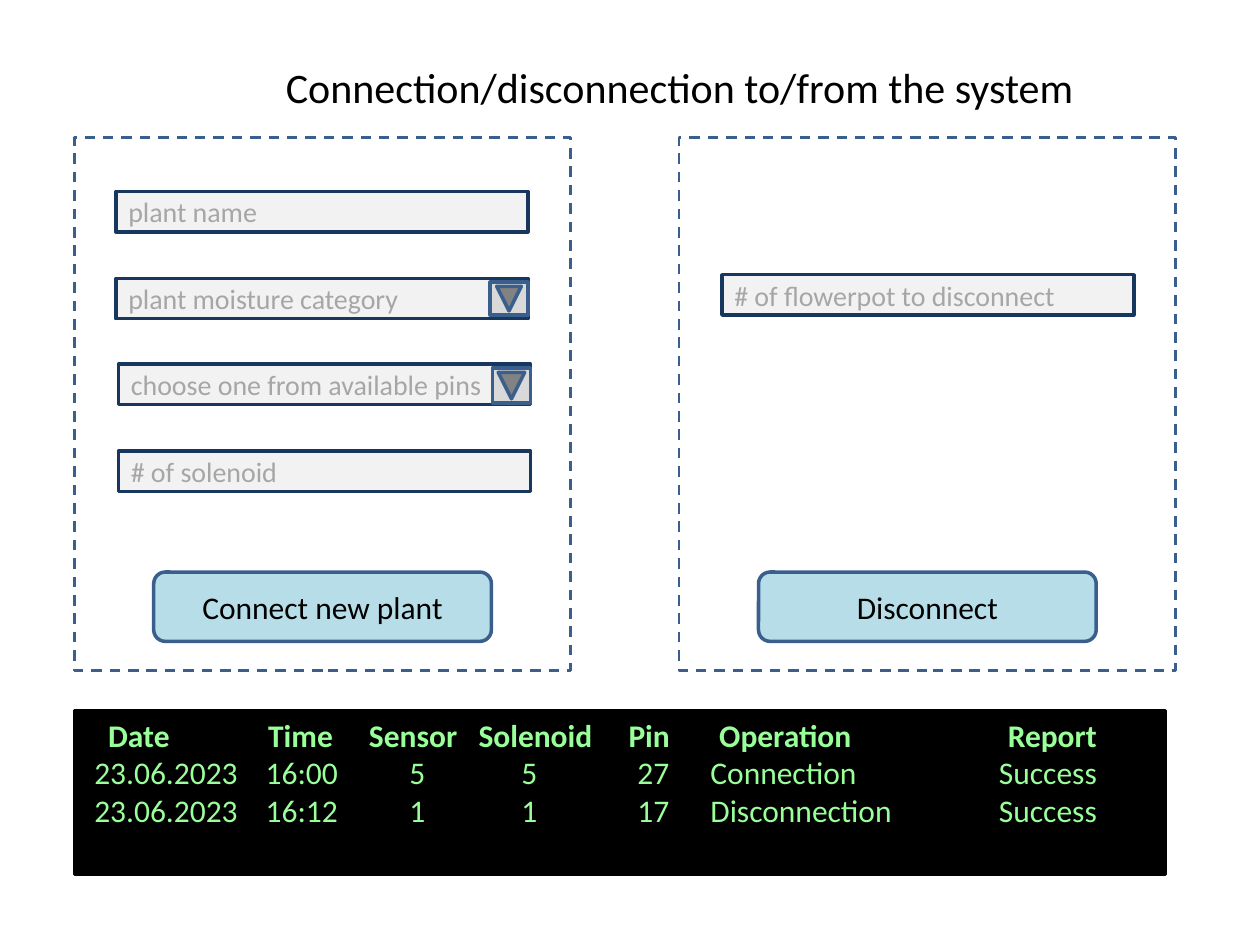
"""Build the plant connection form slide with its operation log."""
from dataclasses import dataclass
from typing import Optional

from lxml import etree
from pptx import Presentation
from pptx.dml.color import RGBColor
from pptx.enum import dml, shapes, text
from pptx.oxml import ns
from pptx.util import Inches, Pt

BLACK = RGBColor(0, 0, 0)
BLUE = RGBColor(0x3A, 0x5F, 0x8C)
NAVY = RGBColor(0x17, 0x37, 0x5E)
PALE = RGBColor(0xB7, 0xDE, 0xE8)
LIGHT = RGBColor(0xF2, 0xF2, 0xF2)
SILVER = RGBColor(0xD9, 0xD9, 0xD9)
GREY = RGBColor(0xA6, 0xA6, 0xA6)
GREEN = RGBColor(0x99, 0xFF, 0x99)
KIND = shapes.MSO_SHAPE
LEFT, CENTER = text.PP_ALIGN.LEFT, text.PP_ALIGN.CENTER


@dataclass
class Box:
    left: float
    top: float
    width: float
    height: float
    fill: Optional[RGBColor]
    line: RGBColor = BLUE
    kind: KIND = KIND.RECTANGLE
    weight: float = 2
    dash: bool = False
    turn: float = 0
    words: str = ""
    size: float = 16
    ink: RGBColor = GREY
    align: text.PP_ALIGN = LEFT


@dataclass
class Row:
    cells: list[str]
    stops: list[float]
    bold: bool = False


def add_run(para, words: str, size: float, ink: RGBColor, bold: bool = False) -> None:
    run = para.add_run()
    run.text = words
    font = run.font
    font.name, font.size, font.bold = "Calibri", Pt(size), bold
    font.color.rgb = ink


def draw(slide, box: Box):
    shape = slide.shapes.add_shape(
        box.kind, Inches(box.left), Inches(box.top), Inches(box.width), Inches(box.height))
    shape.shadow.inherit = False
    shape.rotation = box.turn
    if box.fill is None:
        shape.fill.background()
    else:
        shape.fill.solid()
        shape.fill.fore_color.rgb = box.fill
    shape.line.color.rgb = box.line
    shape.line.width = Pt(box.weight)
    if box.dash:
        shape.line.dash_style = dml.MSO_LINE.DASH
    if box.words:
        shape.text_frame.vertical_anchor = text.MSO_ANCHOR.MIDDLE
        para = shape.text_frame.paragraphs[0]
        para.alignment = box.align
        add_run(para, box.words, box.size, box.ink)
    return shape


def add_row(para, row: Row) -> None:
    para.alignment = LEFT
    tabs = etree.SubElement(para._p.get_or_add_pPr(), ns.qn("a:tabLst"))
    for stop in row.stops:
        etree.SubElement(tabs, ns.qn("a:tab"), pos=str(Inches(stop)), algn="l")
    for cell in row.cells:
        add_run(para, "\t" + cell, 18, GREEN, row.bold)


def add_log(slide, rows: list[Row]) -> None:
    frame = draw(slide, Box(0.59, 5.64, 8.66, 1.3, BLACK, BLACK)).text_frame
    frame.vertical_anchor = text.MSO_ANCHOR.TOP
    frame.margin_top = Inches(0.04)
    for i, row in enumerate(rows):
        add_row(frame.add_paragraph() if i else frame.paragraphs[0], row)


def add_title(slide, words: str) -> None:
    box = slide.shapes.add_textbox(Inches(2.17), Inches(0.44), Inches(6.51), Inches(0.5))
    box.text_frame.word_wrap = False
    add_run(box.text_frame.paragraphs[0], words, 24, BLACK)


def panel(left: float) -> Box:
    return Box(left, 1.09, 3.94, 4.23, None, weight=1.5, dash=True)


def button(left: float, words: str) -> Box:
    return Box(left, 4.54, 2.68, 0.55, PALE, kind=KIND.ROUNDED_RECTANGLE,
               words=words, size=18, ink=BLACK, align=CENTER)


def field(left: float, top: float, words: str) -> Box:
    return Box(left, top, 3.27, 0.32, LIGHT, NAVY, words=words)


def arrow(left: float, top: float, width: float) -> Box:
    return Box(left, top, width, 0.3, SILVER,
               kind=KIND.ACTION_BUTTON_BACK_OR_PREVIOUS, turn=270)


HEAD = [0.17, 1.44, 2.24, 3.11, 4.3, 5.02, 7.31]
BODY = [0.06, 1.42, 2.56, 3.45, 4.37, 4.95, 7.24]
ROWS = [
    Row(["Date", "Time", "Sensor", "Solenoid", "Pin", "Operation", "Report"], HEAD, True),
    Row(["23.06.2023", "16:00", "5", "5", "27", "Connection", "Success"], BODY),
    Row(["23.06.2023", "16:12", "1", "1", "17", "Disconnection", "Success"], BODY),
]
FORM = [
    panel(0.59),
    button(1.22, "Connect new plant"),
    button(6.02, "Disconnect"),
    panel(5.39),
    field(5.73, 2.18, "# of flowerpot to disconnect"),
    field(0.92, 1.52, "plant name"),
    field(0.92, 2.21, "plant moisture category"),
    field(0.94, 2.89, "choose one from available pins"),
    arrow(3.92, 2.91, 0.28),
    arrow(3.91, 2.22, 0.26),
    field(0.94, 3.58, "# of solenoid"),
]


def main() -> None:
    deck = Presentation()
    deck.slide_width, deck.slide_height = Inches(10), Inches(7.5)
    slide = deck.slides.add_slide(deck.slide_layouts[6])
    add_title(slide, "Connection/disconnection to/from the system")
    add_log(slide, ROWS)
    for box in FORM:
        draw(slide, box)
    deck.save("out.pptx")


main()
